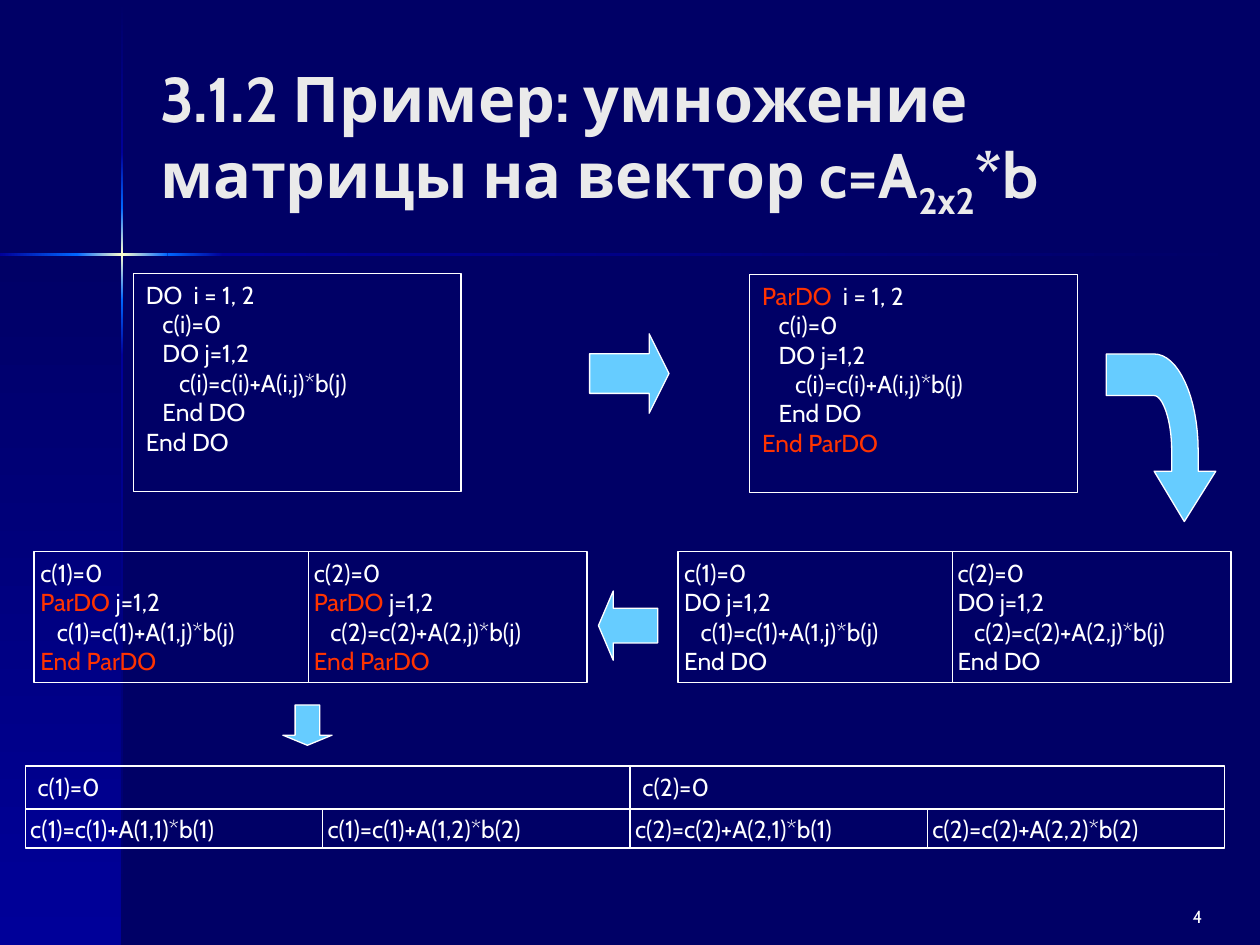
from copy import deepcopy
from dataclasses import dataclass

from pptx import Presentation
from pptx.dml.color import RGBColor
from pptx.enum.shapes import MSO_SHAPE
from pptx.enum.text import MSO_ANCHOR, MSO_AUTO_SIZE, PP_ALIGN
from pptx.oxml.ns import qn
from pptx.util import Inches, Pt

RECTANGLE = MSO_SHAPE.RECTANGLE
RIGHT, LEFT, DOWN = MSO_SHAPE.RIGHT_ARROW, MSO_SHAPE.LEFT_ARROW, MSO_SHAPE.DOWN_ARROW
TOP, MIDDLE = MSO_ANCHOR.TOP, MSO_ANCHOR.MIDDLE
ALIGN_LEFT, ALIGN_RIGHT = PP_ALIGN.LEFT, PP_ALIGN.RIGHT
NO_AUTOFIT = MSO_AUTO_SIZE.NONE

NAVY = RGBColor(0x00, 0x00, 0x66)
BLUE = RGBColor(0x00, 0x00, 0x99)
BRIGHT = RGBColor(0x00, 0x66, 0xFF)
CREAM = RGBColor(0xFF, 0xFF, 0xCC)
WHITE = RGBColor(0xFF, 0xFF, 0xFF)
TITLE_GREY = RGBColor(0xEA, 0xEA, 0xEA)
RED = RGBColor(0xFF, 0x33, 0x00)
SKY = RGBColor(0x66, 0xCC, 0xFF)
FONT = "Cabin"
KEYWORD = "ParDO"

# The slide is a grid of 100 columns by 75 rows
SLIDE_WIDTH, SLIDE_HEIGHT = Inches(10), Inches(7.5)
COLUMN, ROW = SLIDE_WIDTH / 100, SLIDE_HEIGHT / 75


@dataclass(frozen=True)
class Frame:
    left: float
    top: float
    width: float
    height: float

    def emu(self) -> tuple[int, ...]:
        return (round(self.left * COLUMN), round(self.top * ROW),
                round(self.width * COLUMN), round(self.height * ROW))


@dataclass(frozen=True)
class CodeBox:
    frame: Frame
    code: str
    side_inset: float = 1.0
    top_inset: float = 0.5


@dataclass(frozen=True)
class BlockArrow:
    kind: int
    frame: Frame


def style_font(font, size: float, color: RGBColor, bold: bool = False) -> None:
    font.name, font.size, font.bold = FONT, Pt(size), bold
    font.color.rgb = color


def add_gradient(slide, frame: Frame, colors: tuple, vertical: bool) -> None:
    band = slide.shapes.add_shape(RECTANGLE, *frame.emu())
    band.shadow.inherit = False
    band.line.fill.background()
    band.fill.gradient()
    band.fill.gradient_angle = 270 if vertical else 0
    stop_list = band._element.spPr.find(qn("a:gradFill")).find(qn("a:gsLst"))
    for _ in colors[2:]:
        stop_list.append(deepcopy(stop_list[-1]))
    for index, (stop, color) in enumerate(zip(band.fill.gradient_stops, colors)):
        stop.color.rgb = color
        stop.position = index / (len(colors) - 1)


def add_outlined(slide, kind: int, frame: Frame):
    shape = slide.shapes.add_shape(kind, *frame.emu())
    style_outline(shape)
    return shape


def style_outline(shape) -> None:
    shape.shadow.inherit = False
    shape.line.color.rgb = WHITE
    shape.line.width = Pt(0.75)


def add_code_box(slide, item: CodeBox) -> None:
    box = add_outlined(slide, RECTANGLE, item.frame)
    box.fill.background()
    text = box.text_frame
    text.word_wrap, text.vertical_anchor = True, TOP
    text.margin_left = text.margin_right = round(item.side_inset * COLUMN)
    text.margin_top = text.margin_bottom = round(item.top_inset * ROW)
    for index, line in enumerate(item.code.split("\n")):
        para = text.add_paragraph() if index else text.paragraphs[0]
        para.alignment = ALIGN_LEFT
        style_font(para.font, 14, WHITE)
        # Parallel keywords stand out in red
        before, keyword, after = line.partition(KEYWORD)
        for part, color in ((before + keyword, RED if keyword else WHITE), (after, WHITE)):
            if part:
                span = para.add_run()
                span.text = part
                span.font.color.rgb = color


def add_block_arrow(slide, item: BlockArrow) -> None:
    arrow = add_outlined(slide, item.kind, item.frame)
    arrow.fill.solid()
    arrow.fill.fore_color.rgb = SKY
    arrow.adjustments[0], arrow.adjustments[1] = 0.5, 0.25


def curve(start, control_1, control_2, end, steps: int = 16) -> list:
    """Points of a cubic curve after its start."""
    points = []
    for step in range(1, steps + 1):
        t = step / steps
        weights = ((1 - t) ** 3, 3 * t * (1 - t) ** 2, 3 * t * t * (1 - t), t ** 3)
        points.append(tuple(sum(w * p[axis] for w, p in zip(weights, (start, control_1, control_2, end)))
                            for axis in (0, 1)))
    return points


def add_bent_arrow(slide) -> None:
    outline = [(96.5, 37.4), (95.1, 37.4), (95.1, 35.8)]
    outline += curve((95.1, 35.8), (95.1, 31.5), (93.5, 28.1), (91.6, 28.1))
    outline += [(87.8, 28.1), (87.8, 31.4), (91.6, 31.4)]
    outline += curve((91.6, 31.4), (92.3, 31.4), (93, 33.4), (93, 35.8))
    outline += [(93, 37.4), (91.6, 37.4)]
    points = [(round(x * COLUMN), round(y * ROW)) for x, y in outline]
    builder = slide.shapes.build_freeform(round(94 * COLUMN), round(41.4 * ROW))
    builder.add_line_segments(points, close=True)
    arrow = builder.convert_to_shape()
    style_outline(arrow)
    arrow.fill.solid()
    arrow.fill.fore_color.rgb = SKY


def format_title(slide) -> None:
    title = slide.shapes.title
    title.left, title.top, title.width, title.height = Frame(11.7, 3.3, 84.8, 15.7).emu()
    text = title.text_frame
    text.auto_size, text.word_wrap, text.vertical_anchor = NO_AUTOFIT, True, MIDDLE
    para = text.paragraphs[0]
    para.alignment = ALIGN_LEFT
    style_font(para.font, 36, TITLE_GREY, bold=True)
    for part, baseline in (("3.1.2 Пример: умножение матрицы на вектор c=A", 0),
                           ("2x2", -25000), ("*b", 0)):
        span = para.add_run()
        span.text = part
        if baseline:
            span.font._element.set("baseline", str(baseline))


def add_page_number(slide) -> None:
    box = slide.shapes.add_textbox(*Frame(73.3, 71.4, 23.1, 2.4).emu())
    box.text_frame.word_wrap = True
    para = box.text_frame.paragraphs[0]
    para.text, para.alignment = "4", ALIGN_RIGHT
    style_font(para.font, 10, WHITE)


def loop(start: str, end: str, body: str, first: str = "") -> str:
    return f"{first}{start}\n{body}\n{end}"


def main() -> None:
    deck = Presentation()
    deck.slide_width, deck.slide_height = SLIDE_WIDTH, SLIDE_HEIGHT
    slide = deck.slides.add_slide(deck.slide_layouts[5])
    slide.background.fill.solid()
    slide.background.fill.fore_color.rgb = NAVY

    # Side panel and the glowing cross
    add_gradient(slide, Frame(0, 20.2, 9.7, 54.8), (NAVY, BLUE), True)
    glow = ((NAVY, BLUE), (BLUE, BRIGHT), (BRIGHT, CREAM, BRIGHT), (BRIGHT, BLUE), (BLUE, NAVY))
    rows = (0.1, 12.1, 16.5, 23.8, 28.2, 75)
    columns = (0, 6.1, 13.3, 17.7, 100)
    for start, end, colors in zip(rows, rows[1:], glow):
        add_gradient(slide, Frame(9.6, start, 0.2, end - start), colors, True)
    for start, end, colors in zip(columns, columns[1:], glow[1:]):
        add_gradient(slide, Frame(start, 20.1, end - start, 0.2), colors, False)

    format_title(slide)
    add_page_number(slide)

    # Serial loop and its parallel form
    inner = "   c(i)=0\n   DO j=1,2\n      c(i)=c(i)+A(i,j)*b(j)\n   End DO"
    boxes = [CodeBox(Frame(10.6, 21.7, 26, 17.3), loop("DO  i = 1, 2", "End DO", inner)),
             CodeBox(Frame(59.5, 21.8, 26, 17.3), loop("ParDO  i = 1, 2", "End ParDO", inner))]

    # One box for each row of the matrix, then the unrolled steps
    for left, word in ((2.7, "ParDO"), (53.8, "DO")):
        for i, offset, width, inset in ((1, 0, 21.8, 0.5), (2, 21.8, 22.1, 0.4)):
            code = loop(f"{word} j=1,2", f"End {word}",
                        f"   c({i})=c({i})+A({i},j)*b(j)", f"c({i})=0\n")
            boxes.append(CodeBox(Frame(left + offset, 43.8, width, 10.4), code, inset))
    for i, left, widths in ((1, 2, (23.6, 24.4)), (2, 50, (23.6, 23.6))):
        boxes.append(CodeBox(Frame(left, 60.8, sum(widths), 3.4), f"c({i})=0"))
        for j, width in enumerate(widths, 1):
            frame = Frame(left + (j - 1) * widths[0], 64.2, width, 3.1)
            boxes.append(CodeBox(frame, f"c({i})=c({i})+A({i},{j})*b({j})", 0.4, 0.4))
    for box in boxes:
        add_code_box(slide, box)

    # Arrows between the stages
    add_bent_arrow(slide)
    for arrow in (BlockArrow(RIGHT, Frame(46.8, 26.5, 6.3, 6.3)),
                  BlockArrow(LEFT, Frame(47.5, 46.9, 4.7, 5.5)),
                  BlockArrow(DOWN, Frame(22.45, 55.95, 3.9, 3.2))):
        add_block_arrow(slide, arrow)

    deck.save("out.pptx")


if __name__ == "__main__":
    main()
